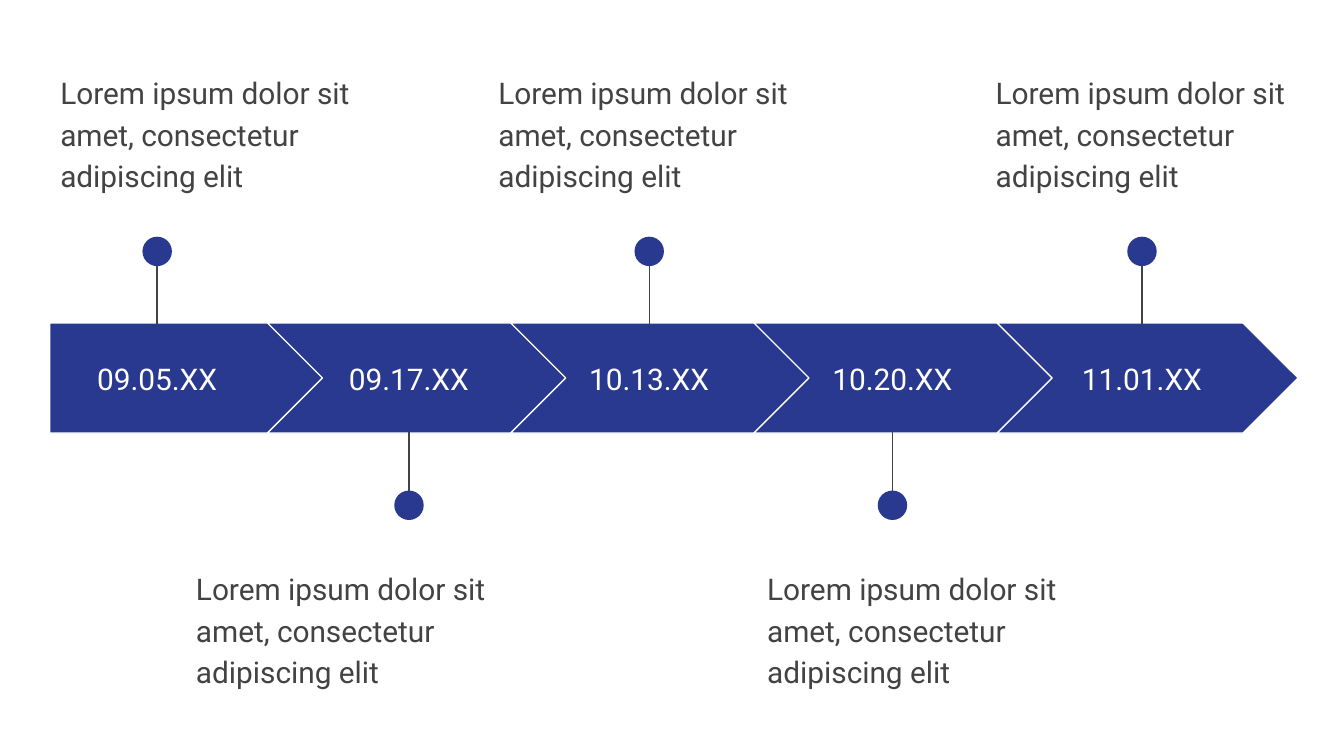
from dataclasses import dataclass

from lxml.etree import SubElement
from pptx import Presentation
from pptx.dml.color import RGBColor
from pptx.enum.shapes import MSO_CONNECTOR as Connector, MSO_SHAPE as Shape
from pptx.enum.text import MSO_ANCHOR as Anchor, PP_ALIGN as Align
from pptx.oxml.ns import qn
from pptx.util import Pt

COLORS = {"navy": "2A3990", "gray": "434343", "white": "FFFFFF"}
FONT = "Roboto"
BAND_TOP, BAND_HEIGHT = 173, 59
FIRST_LEFT, FIRST_WIDTH = 26.6, 147.6
CHEVRON_LEFT, CHEVRON_WIDTH, CHEVRON_PITCH = 143.3, 161.3, 130.3
DOT_SIZE = 15.8
CAPTION = "Lorem ipsum dolor sit amet, consectetur adipiscing elit"


@dataclass
class Milestone:
    """A dated step with its pin and caption positions in points."""
    date: str
    pin_x: float
    caption_left: float
    label_width: float = 103.7


@dataclass
class Side:
    """Vertical positions in points of a pin and caption beside the band."""
    pin_start: float
    pin_end: float
    dot_top: float
    caption_top: float


ABOVE = Side(129.6, 173.5, 126.8, 30.2)
BELOW = Side(275, 231.1, 262.8, 295.9)

MILESTONES = [
    Milestone("09.05.XX", 84.2, 25.2, 114.5),
    Milestone("09.17.XX", 219.1, 97.9),
    Milestone("10.13.XX", 347.8, 259.9),
    Milestone("10.20.XX", 478.1, 403.9),
    Milestone("11.01.XX", 611.8, 526.3),
]


def color(name):
    """Return the named colour."""
    return RGBColor.from_string(COLORS[name])


def add_filled(shapes, kind, left, top, width, height):
    """Add a navy shape without shadow or outline."""
    shape = shapes.add_shape(kind, Pt(left), Pt(top), Pt(width), Pt(height))
    shape.shadow.inherit = False
    shape.fill.solid()
    shape.fill.fore_color.rgb = color("navy")
    shape.line.fill.background()
    return shape


def add_step(page, index):
    """Add one arrow segment of the band."""
    if index == 0:
        kind, left, width = Shape.PENTAGON, FIRST_LEFT, FIRST_WIDTH
    else:
        kind, width = Shape.CHEVRON, CHEVRON_WIDTH
        left = CHEVRON_LEFT + (index - 1) * CHEVRON_PITCH
    step = add_filled(page.shapes, kind, left, BAND_TOP, width, BAND_HEIGHT)
    step.adjustments[0] = 0.5
    step.line.color.rgb = color("white")
    step.line.width = Pt(0.75)


def add_text(page, text, left, top, width, height, color_name):
    """Add a wrapped text box and return its frame and paragraph."""
    box = page.shapes.add_textbox(Pt(left), Pt(top), Pt(width), Pt(height))
    frame = box.text_frame
    frame.word_wrap = True
    frame.margin_left = frame.margin_right = Pt(7.2)
    frame.margin_top = frame.margin_bottom = Pt(7.2)
    para = frame.paragraphs[0]
    para.text = text
    para.font.name = FONT
    para.font.size = Pt(16)
    para.font.color.rgb = color(color_name)
    return frame, para


def add_date(page, milestone):
    """Add the date centred on the pin of its milestone."""
    left = milestone.pin_x - milestone.label_width / 2
    frame, para = add_text(page, milestone.date, left, 184.3,
                           milestone.label_width, 36.7, "white")
    frame.vertical_anchor = Anchor.MIDDLE
    para.alignment = Align.CENTER


def add_pin(page, pin_x, side):
    """Add a grouped line and dot joining the band to a caption."""
    pin = page.shapes.add_group_shape()
    line = pin.shapes.add_connector(Connector.STRAIGHT, Pt(pin_x), Pt(side.pin_start),
                                    Pt(pin_x), Pt(side.pin_end))
    line.line.color.rgb = color("gray")
    line.line.width = Pt(0.75)
    SubElement(line._element.spPr, qn("a:effectLst"))
    add_filled(pin.shapes, Shape.OVAL, pin_x - DOT_SIZE / 2, side.dot_top,
               DOT_SIZE, DOT_SIZE)


def add_caption(page, left, top):
    """Add the description of a milestone."""
    _, para = add_text(page, CAPTION, left, top, 176.4, 71.3, "gray")
    para.line_spacing = 1.15
    para.space_after = Pt(16)


def main():
    """Build the timeline slide and save it."""
    deck = Presentation()
    deck.slide_width, deck.slide_height = Pt(720), Pt(405)
    page = deck.slides.add_slide(deck.slide_layouts[6])
    for index, milestone in enumerate(MILESTONES):
        side = BELOW if index % 2 else ABOVE
        add_step(page, index)
        add_date(page, milestone)
        add_pin(page, milestone.pin_x, side)
        add_caption(page, milestone.caption_left, side.caption_top)
    deck.save("out.pptx")


main()
